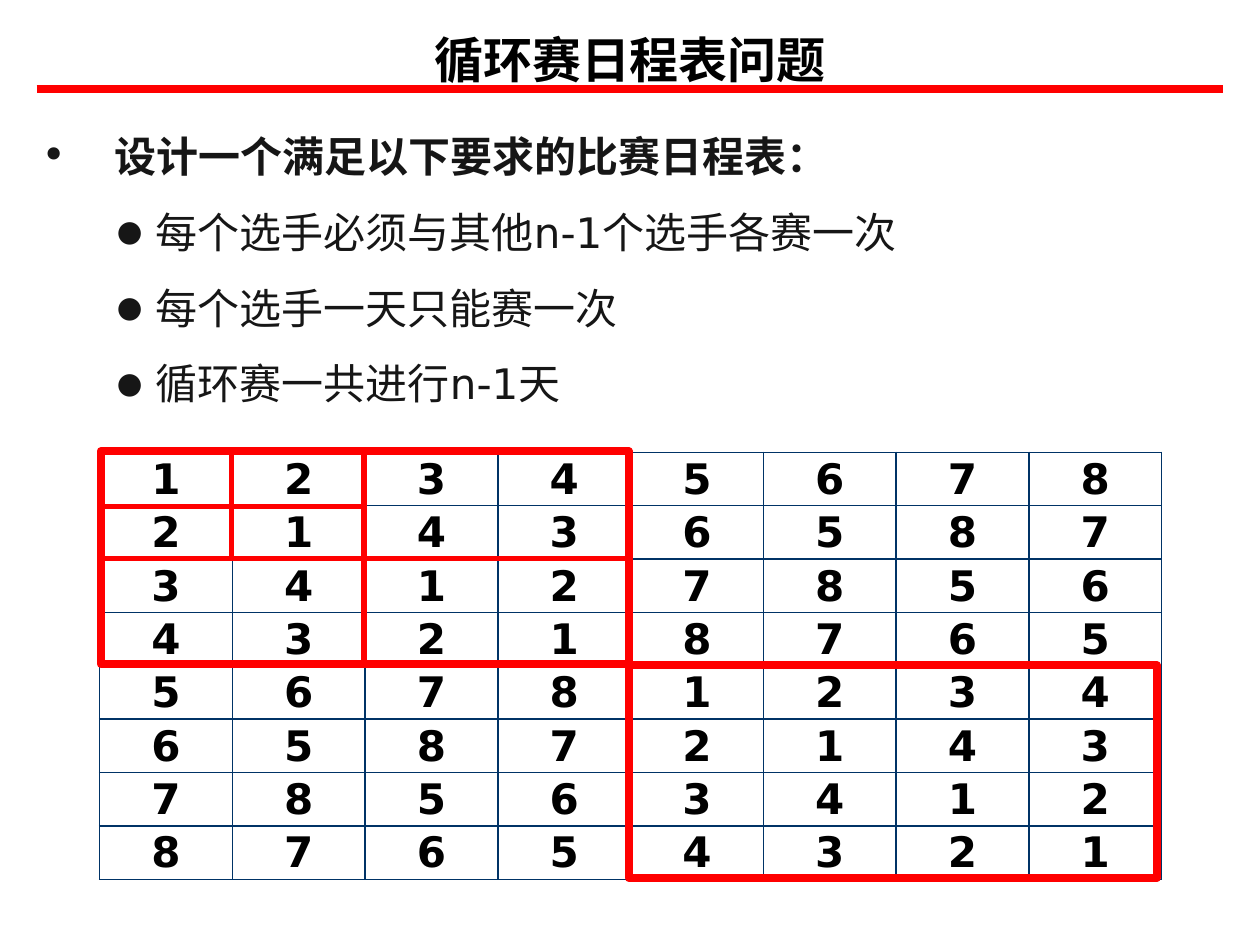
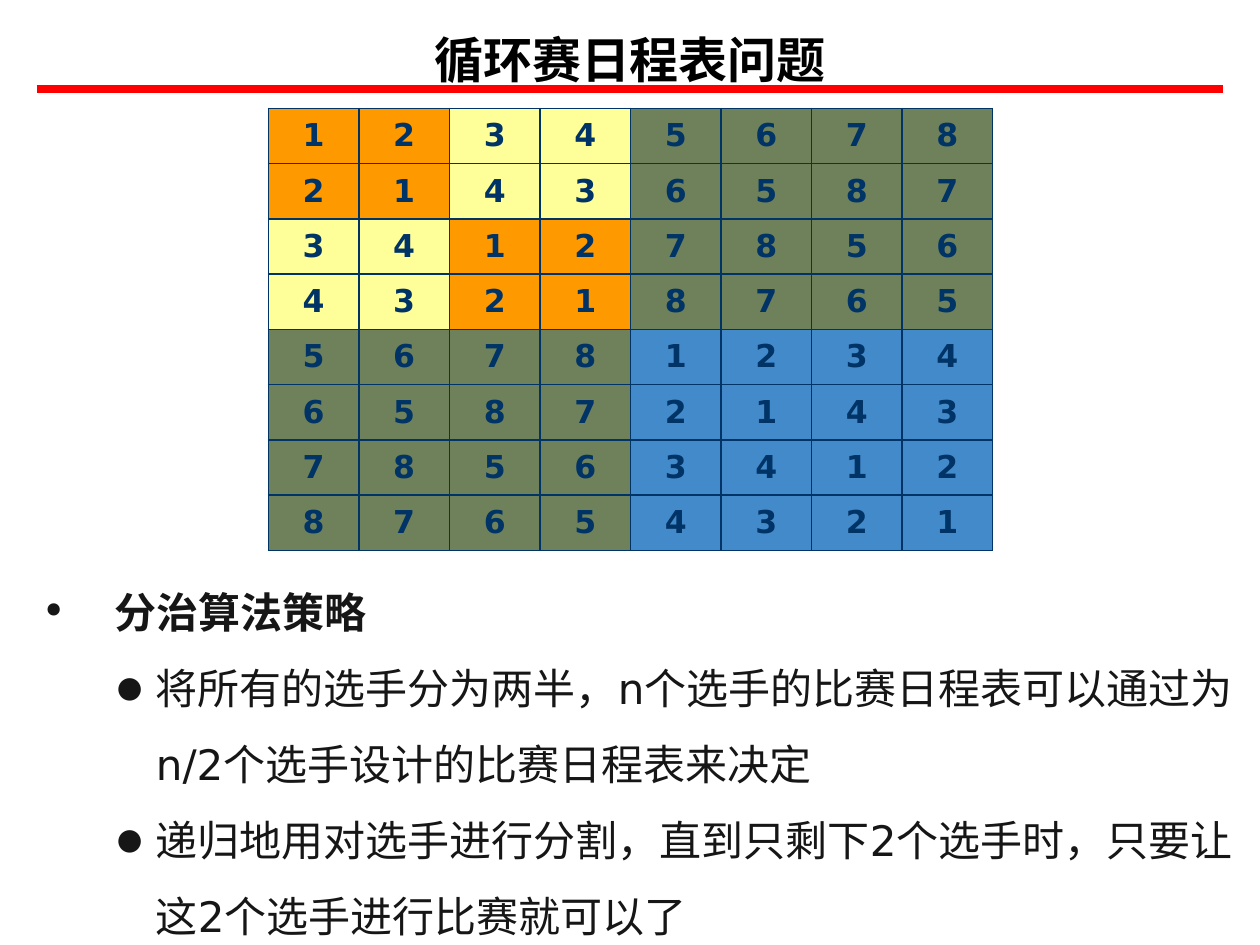
from lxml.etree import SubElement
from pptx import Presentation
from pptx.dml.color import RGBColor
from pptx.enum.shapes import MSO_CONNECTOR as Connector, MSO_SHAPE as Shape
from pptx.enum.text import MSO_ANCHOR as Anchor, PP_ALIGN as Align
from pptx.oxml.ns import qn
from pptx.util import Inches, Pt

RED, NAVY, BLACK, INK = "FF0000", "003366", "000000", "161616"
ORANGE, YELLOW, GREEN, BLUE = "FF9900", "FFFF99", "6E815B", "438ACB"
LATIN, CHINESE = "DejaVu Sans", "Noto Sans CJK SC"

TITLE = "循环赛日程表问题"
REQUIREMENTS = [
    "设计一个满足以下要求的比赛日程表：",
    "每个选手必须与其他n-1个选手各赛一次",
    "每个选手一天只能赛一次",
    "循环赛一共进行n-1天",
]
STRATEGY = [
    "分治算法策略",
    "将所有的选手分为两半，n个选手的比赛日程表可以通过为n/2个选手设计的比赛日程表来决定",
    "递归地用对选手进行分割，直到只剩下2个选手时，只要让这2个选手进行比赛就可以了",
]
PLAYERS = 8
SCHEDULE = [[(row ^ day) + 1 for day in range(PLAYERS)] for row in range(PLAYERS)]

HALF_BLOCKS = [(0.8, 3.58), (4.99, 5.28)]
HALF_WIDTH, HALF_HEIGHT = 4.19, 1.69
SPLITS = [
    (0.8, 4.43, 4.99, 4.43),
    (2.89, 5.27, 2.89, 3.58),
    (0.8, 4.02, 2.89, 4.02),
    (1.84, 4.45, 1.84, 3.6),
]


def color(hex_code):
    return RGBColor.from_string(hex_code)


def write(paragraph, text, size, ink, font=CHINESE, bold=True, align=None, spacing=None):
    run = paragraph.add_run()
    run.text = text
    run.font.size, run.font.bold, run.font.name = Pt(size), bold, font
    run.font.color.rgb = color(ink)
    SubElement(run.font._element, qn("a:ea"), typeface=CHINESE)
    paragraph.alignment = align
    if spacing:
        paragraph.line_spacing = Pt(spacing)


def add_frame(slide, left, top, width, height, top_inset=0.05):
    frame = slide.shapes.add_textbox(*map(Inches, (left, top, width, height))).text_frame
    frame.word_wrap = True
    frame.margin_top = Inches(top_inset)
    return frame


def set_bullet(paragraph, symbol, indent, hanging, percent):
    props = paragraph._p.get_or_add_pPr()
    props.set("marL", str(Inches(indent)))
    props.set("indent", str(-Inches(hanging)))
    SubElement(props, qn("a:buSzPct"), val=str(percent * 1000))
    SubElement(props, qn("a:buFont"), typeface=LATIN)
    SubElement(props, qn("a:buChar"), char=symbol)


def add_points(slide, points, top, height):
    frame = add_frame(slide, 0.16, top, 9.8, height, top_inset=0.07)
    for index, point in enumerate(points):
        paragraph = frame.add_paragraph() if index else frame.paragraphs[0]
        write(paragraph, point, 24, INK, font=LATIN if index else CHINESE,
              bold=not index, spacing=43.4)
        if index:
            paragraph.level = 1
            set_bullet(paragraph, "●", 0.98, 0.31, 70)
        else:
            set_bullet(paragraph, "•", 0.65, 0.58, 100)


def add_rule(slide, ends, weight):
    rule = slide.shapes.add_connector(Connector.STRAIGHT, *map(Inches, ends))
    rule.line.color.rgb, rule.line.width = color(RED), Pt(weight)
    SubElement(rule._element.spPr, qn("a:effectLst"))


def add_half_block(slide, left, top):
    block = slide.shapes.add_shape(
        Shape.RECTANGLE, *map(Inches, (left, top, HALF_WIDTH, HALF_HEIGHT)))
    block.shadow.inherit = False
    block.fill.background()
    block.line.color.rgb, block.line.width = color(RED), Pt(4.5)


def add_borders(cell):
    props = cell._tc.get_or_add_tcPr()
    for index, side in enumerate(("lnL", "lnR", "lnT", "lnB")):
        border = props.makeelement(qn("a:" + side), {"w": str(Pt(1))})
        fill = SubElement(border, qn("a:solidFill"))
        SubElement(fill, qn("a:srgbClr"), val=NAVY)
        props.insert(index, border)


def block_color(row, day):
    half, quarter = PLAYERS // 2, PLAYERS // 4
    if (row < half) != (day < half):
        return GREEN
    if row >= half:
        return BLUE
    return ORANGE if row // quarter == day // quarter else YELLOW


def add_schedule(slide, left, top, width, height, size, ink, fill_for=None, insets=None):
    table = slide.shapes.add_table(
        PLAYERS, PLAYERS, *map(Inches, (left, top, width, height))).table
    table.first_row = table.horz_banding = False
    for row, opponents in enumerate(SCHEDULE):
        for day, opponent in enumerate(opponents):
            cell = table.cell(row, day)
            cell.vertical_anchor = Anchor.MIDDLE
            if insets:
                (cell.margin_left, cell.margin_top,
                 cell.margin_right, cell.margin_bottom) = map(Inches, insets)
            if fill_for:
                cell.fill.solid()
                cell.fill.fore_color.rgb = color(fill_for(row, day))
            else:
                cell.fill.background()
            add_borders(cell)
            write(cell.text_frame.paragraphs[0], str(opponent), size, ink,
                  font=LATIN, align=Align.CENTER)


def start_slide(deck):
    slide = deck.slides.add_slide(deck.slide_layouts[6])
    add_rule(slide, (0.29, 0.71, 9.71, 0.71), 4.5)
    heading = add_frame(slide, 0, 0.05, 10, 0.63)
    write(heading.paragraphs[0], TITLE, 28, BLACK, align=Align.CENTER, spacing=43.5)
    return slide


def main():
    """Build the two slides on the round-robin schedule."""
    deck = Presentation()
    deck.slide_width, deck.slide_height = Inches(10), Inches(7.5)

    problem = start_slide(deck)
    add_points(problem, REQUIREMENTS, 0.76, 2.52)
    add_schedule(problem, 0.79, 3.59, 8.43, 3.39, 24, BLACK, insets=(0.01, 0.01, 0.01, 0))
    for corner in HALF_BLOCKS:
        add_half_block(problem, *corner)
    for ends in SPLITS:
        add_rule(problem, ends, 3)

    solution = start_slide(deck)
    add_points(solution, STRATEGY, 4.38, 3.07)
    add_schedule(solution, 2.13, 0.86, 5.75, 3.51, 18, NAVY, fill_for=block_color)

    deck.save("out.pptx")


if __name__ == "__main__":
    main()
